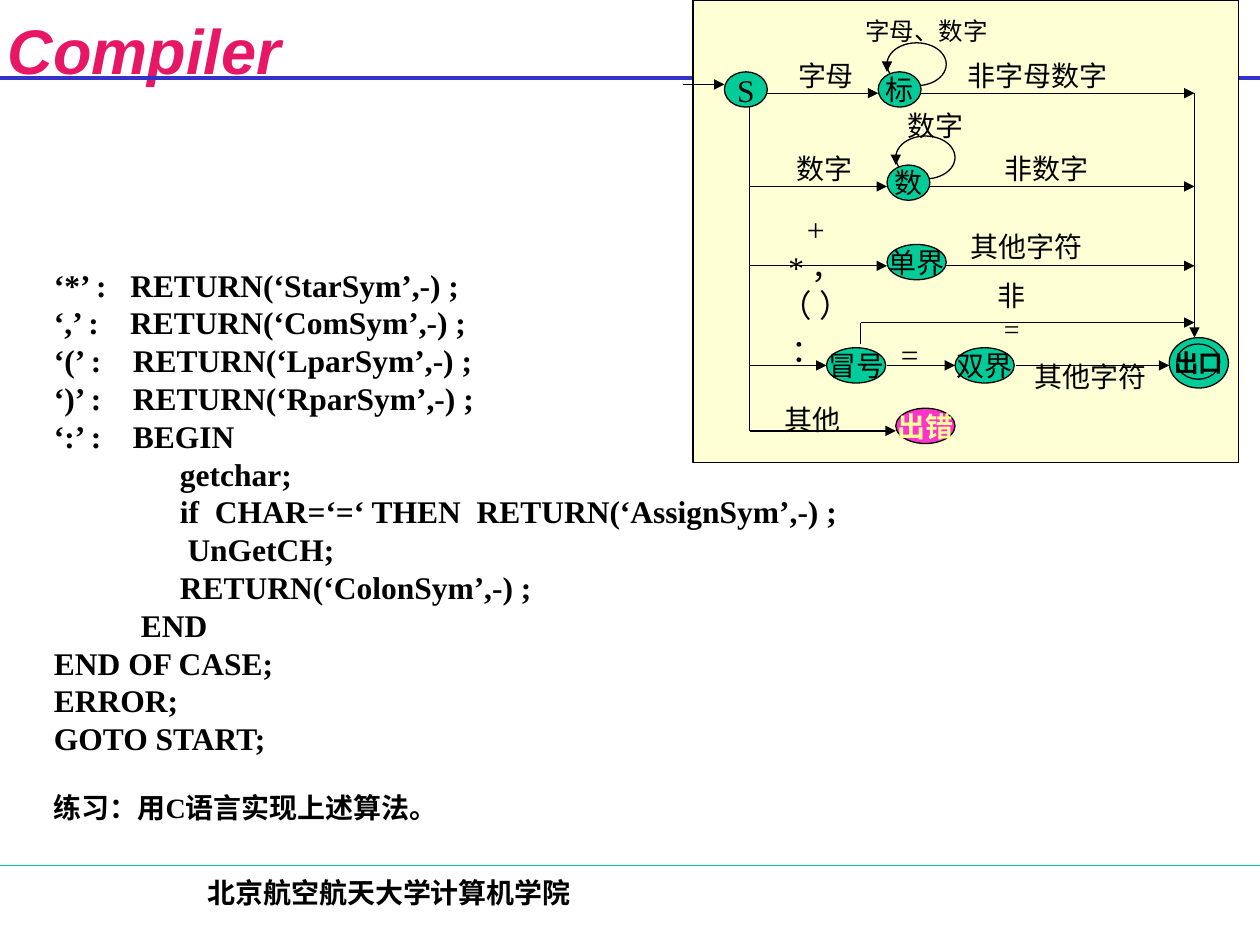
from dataclasses import dataclass

from lxml import etree
from pptx import Presentation
from pptx import util as u
from pptx.dml.color import RGBColor
from pptx.enum import shapes, text
from pptx.oxml.ns import qn


@dataclass(frozen=True)
class Theme:
    title_font: str = "Arial"
    font: str = "Times New Roman"
    ink: str = "000000"
    title: str = "E81766"
    title_rule: str = "3333CC"
    green: str = "00CC99"
    panel: str = "FFFFD5"
    error: str = "FF33CC"
    error_text: str = "FFFF99"
    title_size: int = 36
    large: int = 18
    normal: int = 16
    small: int = 14
    thin: float = 0.75
    thick: float = 2.25
    leading: float = 1.2


THEME = Theme()


def rgb(value):
    return RGBColor.from_string(value)


def write(tf, lines, size=THEME.normal, color=THEME.ink, font=THEME.font, bold=False,
          italic=False, align=text.PP_ALIGN.CENTER, anchor=text.MSO_ANCHOR.MIDDLE, wrap=False):
    """Fill a text frame with one paragraph per line and return the paragraphs."""
    tf.word_wrap = wrap
    tf.vertical_anchor = anchor
    if not wrap:
        tf.margin_left = tf.margin_right = 0
    for i, line in enumerate(lines):
        p = tf.paragraphs[0] if i == 0 else tf.add_paragraph()
        p.alignment = align
        r = p.add_run()
        r.text = line
        r.font.name, r.font.size = font, u.Pt(size)
        r.font.bold, r.font.italic = bold, italic
        r.font.color.rgb = rgb(color)
    return tf.paragraphs


class Drawing:
    def __init__(self, slide, theme):
        self.s = slide
        self.theme = theme

    def label(self, x, y, w, h, *lines, **style):
        sp = self.s.shapes.add_textbox(*map(u.Inches, (x, y, w, h)))
        return write(sp.text_frame, lines, **style)

    def shape(self, kind, x, y, w, h, fill=None):
        sp = self.s.shapes.add_shape(kind, *map(u.Inches, (x, y, w, h)))
        sp.shadow.inherit = False
        if fill:
            sp.fill.solid()
            sp.fill.fore_color.rgb = rgb(fill)
        else:
            sp.fill.background()
        sp.line.color.rgb = rgb(self.theme.ink)
        sp.line.width = u.Pt(self.theme.thin)
        return sp

    def ellipse(self, x, y, w, h, fill=None):
        return self.shape(shapes.MSO_SHAPE.OVAL, x, y, w, h, fill)

    def state(self, x, y, name, w=0.47, h=0.28, fill=THEME.green, **style):
        sp = self.ellipse(x, y, w, h, fill)
        write(sp.text_frame, [name], **style)

    def line(self, x1, y1, x2, y2, color=THEME.ink, width=THEME.thin, arrow=False):
        c = self.s.shapes.add_connector(shapes.MSO_CONNECTOR.STRAIGHT,
                                        *map(u.Inches, (x1, y1, x2, y2)))
        c.line.color.rgb = rgb(color)
        c.line.width = u.Pt(width)
        if arrow:
            etree.SubElement(c.line._get_or_add_ln(), qn("a:tailEnd"), type="triangle")
        etree.SubElement(c._element.spPr, qn("a:effectLst"))

    def arrow(self, x1, y1, x2, y2):
        self.line(x1, y1, x2, y2, arrow=True)

    def loop(self, x, y):
        """Draw a self-transition whose arrow enters a state at its left end."""
        self.ellipse(x, y, 0.47, 0.34)
        self.arrow(x, y + 0.17, x, y + 0.23)

    def code(self, x, y, w, h, lines, exercise):
        """Write (indent, line) pairs, then the exercise after one line of space."""
        t = self.theme
        paragraphs = self.label(x, y, w, h, *[line for _, line in lines], exercise,
                                size=t.large, bold=True, wrap=True,
                                align=text.PP_ALIGN.LEFT, anchor=text.MSO_ANCHOR.BOTTOM)
        for (indent, _), p in zip(lines, paragraphs):
            p.line_spacing = u.Pt(t.large * t.leading)
            pPr = p._p.get_or_add_pPr()
            pPr.set("marL", str(u.Inches(indent)))
            pPr.set("indent", "0")
        last = paragraphs[-1]
        last.line_spacing = last.space_before = u.Pt(t.normal * t.leading)
        last.runs[0].font.size = u.Pt(t.normal)


CODE = [
    (0, "‘*’ :   RETURN(‘StarSym’,-) ;"),
    (0, "‘,’ :    RETURN(‘ComSym’,-) ;"),
    (0, "‘(’ :    RETURN(‘LparSym’,-) ;"),
    (0, "‘)’ :    RETURN(‘RparSym’,-) ;"),
    (0, "‘:’ :    BEGIN"),
    (1, "getchar;"),
    (1, "if  CHAR=‘=‘ THEN  RETURN(‘AssignSym’,-) ;"),
    (1.06, "UnGetCH;"),
    (1, "RETURN(‘ColonSym’,-) ;"),
    (0.69, "END"),
    (0, "END OF CASE;"),
    (0, "ERROR;"),
    (0, "GOTO START;"),
]


def draw_frame(d):
    t = d.theme
    d.label(0, 0.04, 2.29, 0.62, "Compiler", size=t.title_size, color=t.title,
            font=t.title_font, bold=True, italic=True, anchor=text.MSO_ANCHOR.TOP)
    d.line(0, 0.62, 10, 0.62, t.title_rule, t.thick)
    d.label(0.59, 6.9, 5, 0.5, "北京航空航天大学计算机学院", bold=True, wrap=True,
            anchor=text.MSO_ANCHOR.TOP)
    d.line(0, 6.87, 10, 6.87, t.green)


def draw_automaton(d):
    t = d.theme
    trunk, merge = 5.95, 9.48
    letter, digit, single, colon, other = 0.74, 1.48, 2.11, 2.9, 3.42
    d.shape(shapes.MSO_SHAPE.RECTANGLE, 5.5, 0, 4.33, 3.67, t.panel)

    d.loop(7.04, 0.34)
    d.loop(7.11, 1.08)
    for x1, y1, x2, y2 in [
        (5.42, 0.67, 5.75, 0.67),
        (6.09, letter, 6.97, letter), (7.31, letter, merge, letter),
        (trunk, digit, 7.04, digit), (7.38, digit, merge, digit),
        (trunk, single, 7.04, single), (7.44, single, merge, single),
        (trunk, colon, 6.56, colon), (7.04, colon, 7.58, colon), (8.06, colon, 9.28, colon),
        (6.83, 2.56, merge, 2.56), (merge, letter, merge, 2.68),
        (trunk, other, 7.11, other),
    ]:
        d.arrow(x1, y1, x2, y2)
    d.line(trunk, 0.85, trunk, other)
    d.line(6.83, 2.73, 6.83, 2.56)

    d.state(5.75, 0.57, "S", w=0.34, size=t.large)
    d.state(6.97, 0.57, "标", w=0.34)
    d.state(7.04, 1.31, "数", w=0.34)
    d.state(7.04, 1.94, "单界")
    d.state(6.56, 2.76, "冒号")
    d.state(7.58, 2.76, "双界")
    d.state(9.28, 2.68, "出口", h=0.4, size=t.small, bold=True)
    d.ellipse(9.34, 2.73, 0.34, 0.28)
    d.state(7.11, 3.24, "出错", fill=t.error, color=t.error_text, bold=True)

    for x, y, w, name in [
        (6.23, 0.41, 0.65, "字母"), (7.58, 0.41, 1.31, "非字母数字"),
        (7.1, 0.81, 0.65, "数字"), (6.22, 1.15, 0.65, "数字"),
        (7.87, 1.15, 0.87, "非数字"), (7.6, 1.77, 1.09, "其他字符"),
        (8.11, 2.8, 1.09, "其他字符"), (6.12, 3.14, 0.65, "其他"),
    ]:
        d.label(x, y, w, 0.37, name)
    d.label(6.77, 0.08, 1.17, 0.33, "字母、数字", size=t.small)
    d.label(6.09, 1.77, 0.77, 0.7, "+", "* ，", "（ ）", size=t.large)
    d.label(6.18, 2.58, 0.45, 0.4, "：", size=t.large)
    d.label(7.05, 2.61, 0.34, 0.4, "=", size=t.large)
    d.label(7.82, 2.29, 0.42, 0.37, "非", "=")


def main():
    prs = Presentation()
    prs.slide_width, prs.slide_height = u.Inches(10), u.Inches(7.5)
    d = Drawing(prs.slides.add_slide(prs.slide_layouts[6]), THEME)
    draw_frame(d)
    d.code(0.33, 1.78, 7.58, 4.81, CODE, "练习：用C语言实现上述算法。")
    draw_automaton(d)
    prs.save("out.pptx")


if __name__ == "__main__":
    main()
